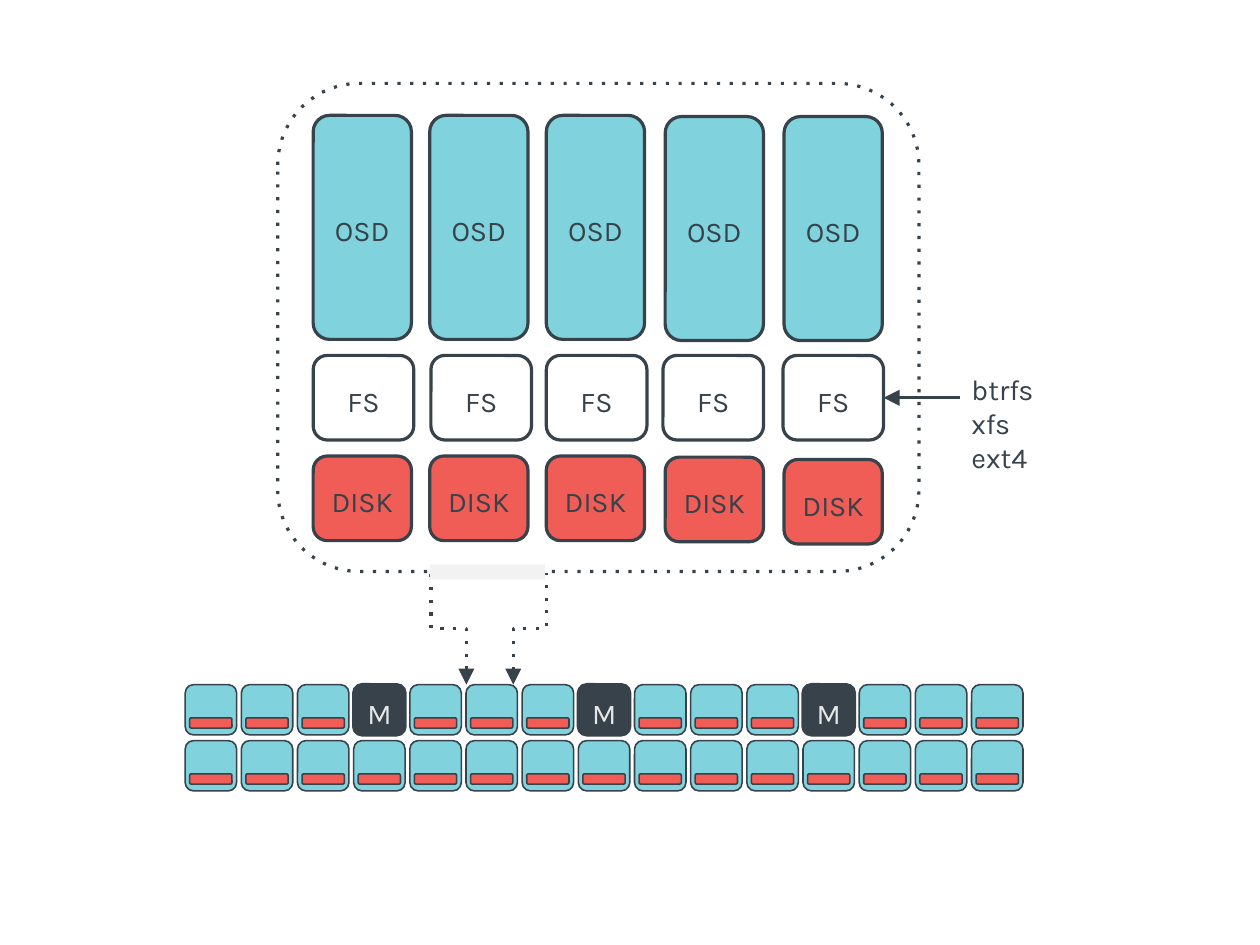
from dataclasses import dataclass
from typing import NamedTuple, Optional

from lxml.etree import SubElement
from pptx import Presentation
from pptx.dml.color import RGBColor
from pptx.enum.shapes import MSO_CONNECTOR, MSO_SHAPE
from pptx.enum.text import MSO_ANCHOR, MSO_AUTO_SIZE, PP_ALIGN
from pptx.oxml.ns import qn
from pptx.shapes.autoshape import Shape
from pptx.shapes.connector import Connector
from pptx.shapes.shapetree import GroupShapes, SlideShapes
from pptx.text.text import TextFrame
from pptx.util import Inches, Pt


@dataclass(frozen=True)
class Theme:
    ink: str = "37424A"
    teal: str = "80D2DC"
    red: str = "F05C56"
    white: str = "FFFFFF"
    pale: str = "F2F2F2"
    monitor_text: str = "E6E8E8"
    font: str = "Karla"
    text_size: float = 18
    heavy_line: float = 2
    thin_line: float = 1


THEME = Theme()


class Area(NamedTuple):
    left: float
    top: float
    width: float
    height: float


class Point(NamedTuple):
    x: float
    y: float


class StorageColumn(NamedTuple):
    left: float
    osd_top: float
    fs_left: float
    disk_top: float


class Style(NamedTuple):
    fill: Optional[str]
    line_width: float = THEME.heavy_line
    text_color: str = THEME.ink


CM_PER_INCH = 2.54
PAGE_WIDTH, PAGE_HEIGHT = 28 / CM_PER_INCH, 21 / CM_PER_INCH

COLUMNS = [
    StorageColumn(2.74, 1.01, 2.74, 3.99),
    StorageColumn(3.76, 1.01, 3.77, 3.99),
    StorageColumn(4.78, 1.01, 4.78, 3.99),
    StorageColumn(5.82, 1.02, 5.80, 4.00),
    StorageColumn(6.86, 1.02, 6.85, 4.02),
]
OSD = Style(THEME.teal)
FILE_SYSTEM = Style(THEME.white)
DISK = Style(THEME.red)
FRAME = Style(None)
MONITOR = Style(THEME.ink, text_color=THEME.monitor_text)
NODE = Style(THEME.teal, THEME.thin_line)
NODE_DISK = Style(THEME.red, THEME.thin_line)

NODE_COUNT = 15
FIRST_NODE_LEFT, LAST_NODE_LEFT = 1.62, 8.5
NODE_STEP = (LAST_NODE_LEFT - FIRST_NODE_LEFT) / (NODE_COUNT - 1)
ROW_TOPS = (5.99, 6.48)
MONITOR_PLACES = {(0, 3), (0, 7), (0, 11)}


def write(frame: TextFrame, lines: list[str], color: str, alignment: PP_ALIGN) -> None:
    frame.margin_left = frame.margin_right = frame.margin_top = Inches(0.1)
    frame.margin_bottom = Inches(0.05)
    for index, line in enumerate(lines):
        para = frame.add_paragraph() if index else frame.paragraphs[0]
        para.alignment = alignment
        span = para.add_run()
        span.text = line
        span.font.name = THEME.font
        span.font.size = Pt(THEME.text_size)
        span.font.color.rgb = RGBColor.from_string(color)


def add_box(shapes: SlideShapes | GroupShapes, area: Area, style: Style, label: str = "") -> Shape:
    box = shapes.add_shape(MSO_SHAPE.ROUNDED_RECTANGLE, *map(Inches, area))
    box.shadow.inherit = False
    box.adjustments[0] = 0.167
    if style.fill:
        box.fill.solid()
        box.fill.fore_color.rgb = RGBColor.from_string(style.fill)
    else:
        box.fill.background()
    box.line.color.rgb = RGBColor.from_string(THEME.ink)
    box.line.width = Pt(style.line_width)
    if label:
        box.text_frame.vertical_anchor = MSO_ANCHOR.MIDDLE
        write(box.text_frame, [label], style.text_color, PP_ALIGN.CENTER)
    return box


def make_dotted(shape: Shape | Connector) -> None:
    """Give the outline widely spaced dots, kept ahead of any arrowhead."""
    line = shape.line._get_or_add_ln()
    dash = line.get_or_add_prstDash()
    dash.set("val", "dot")


def add_arrow(shapes: SlideShapes, kind: MSO_CONNECTOR, tip: Point, tail: Point) -> Connector:
    arrow = shapes.add_connector(kind, *map(Inches, (*tip, *tail)))
    arrow.line.color.rgb = RGBColor.from_string(THEME.ink)
    arrow.line.width = Pt(THEME.heavy_line)
    line = arrow.line._get_or_add_ln()
    SubElement(line, qn("a:headEnd"), type="triangle", w="lg", len="lg")
    SubElement(arrow.element.spPr, qn("a:effectLst"))
    return arrow


def add_upright_elbow(shapes: SlideShapes, tip: Point, tail: Point) -> None:
    """Draw a dotted elbow that leaves both of its ends vertically."""
    center = Point((tip.x + tail.x) / 2, (tip.y + tail.y) / 2)

    def turned(point: Point) -> Point:
        return Point(center.x - (point.y - center.y), center.y + (point.x - center.x))

    elbow = add_arrow(shapes, MSO_CONNECTOR.ELBOW, turned(tip), turned(tail))
    elbow.element.spPr.xfrm.rot = 270
    make_dotted(elbow)


def draw_storage_host(shapes: SlideShapes) -> None:
    add_arrow(shapes, MSO_CONNECTOR.STRAIGHT, Point(7.73, 3.48), Point(8.4, 3.48))
    make_dotted(add_box(shapes, Area(2.43, 0.73, 5.61, 4.27), FRAME))
    for column in COLUMNS:
        add_box(shapes, Area(column.left, column.osd_top, 0.86, 1.96), OSD, "OSD")
        add_box(shapes, Area(column.fs_left, 3.11, 0.88, 0.74), FILE_SYSTEM, "FS")
        add_box(shapes, Area(column.left, column.disk_top, 0.86, 0.74), DISK, "DISK")
    names = shapes.add_textbox(*map(Inches, Area(8.4, 3.15, 0.75, 1.05))).text_frame
    names.word_wrap = False
    names.auto_size = MSO_AUTO_SIZE.SHAPE_TO_FIT_TEXT
    write(names, ["btrfs", "xfs", "ext4"], THEME.ink, PP_ALIGN.LEFT)


def draw_cluster(shapes: SlideShapes) -> None:
    cluster = shapes.add_group_shape().shapes
    for row, top in enumerate(ROW_TOPS):
        for place in range(NODE_COUNT):
            left = FIRST_NODE_LEFT + place * NODE_STEP
            area = Area(left, top, 0.45, 0.44)
            if (row, place) in MONITOR_PLACES:
                add_box(cluster, area, MONITOR, "M")
            else:
                add_box(cluster, area, NODE)
                add_box(cluster, Area(left + 0.04, top + 0.29, 0.37, 0.09), NODE_DISK)


def draw_zoom_link(shapes: SlideShapes) -> None:
    add_upright_elbow(shapes, Point(4.08, 5.99), Point(3.77, 5.01))
    add_upright_elbow(shapes, Point(4.49, 5.99), Point(4.78, 5.01))
    opening = shapes.add_shape(MSO_SHAPE.RECTANGLE, *map(Inches, Area(3.76, 4.94, 1.01, 0.13)))
    opening.shadow.inherit = False
    opening.fill.solid()
    opening.fill.fore_color.rgb = RGBColor.from_string(THEME.pale)
    opening.line.fill.background()


def main() -> None:
    deck = Presentation()
    deck.slide_width, deck.slide_height = Inches(PAGE_WIDTH), Inches(PAGE_HEIGHT)
    page = deck.slides.add_slide(deck.slide_layouts[6])
    draw_storage_host(page.shapes)
    draw_cluster(page.shapes)
    draw_zoom_link(page.shapes)
    deck.save("out.pptx")


if __name__ == "__main__":
    main()
